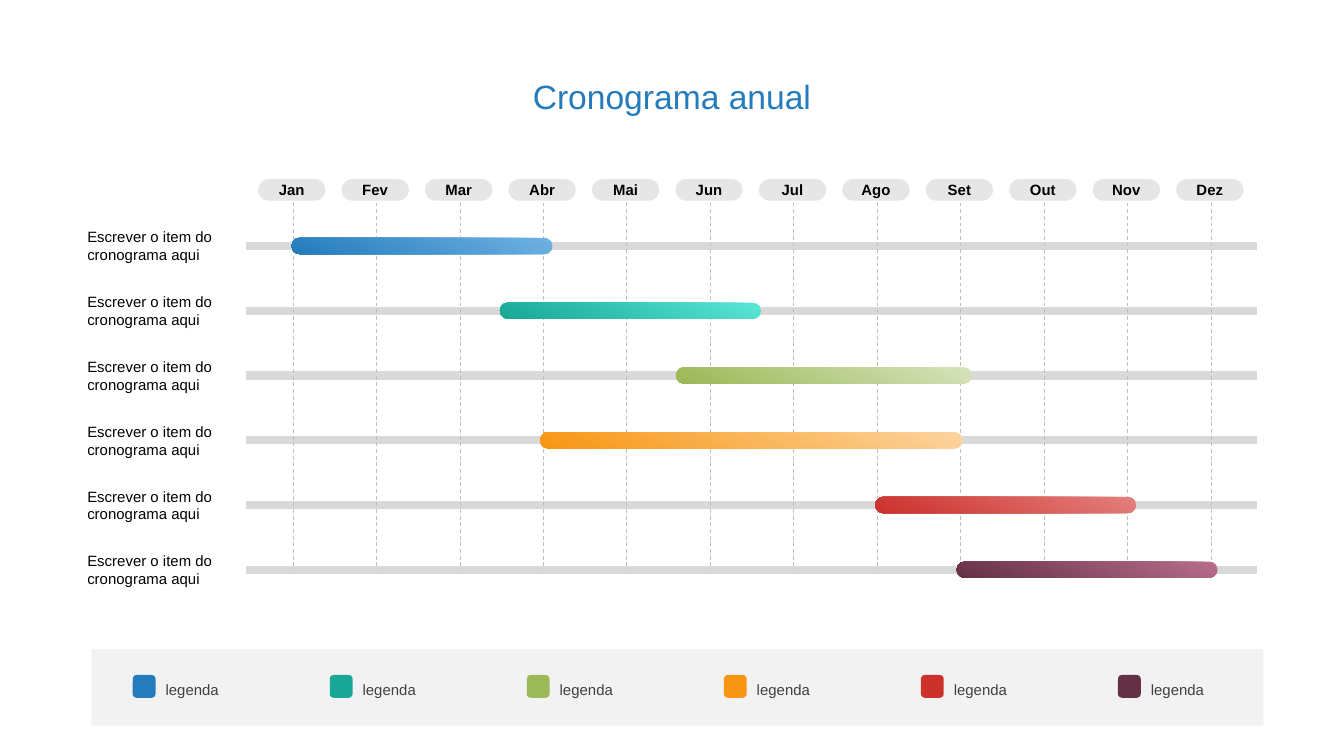
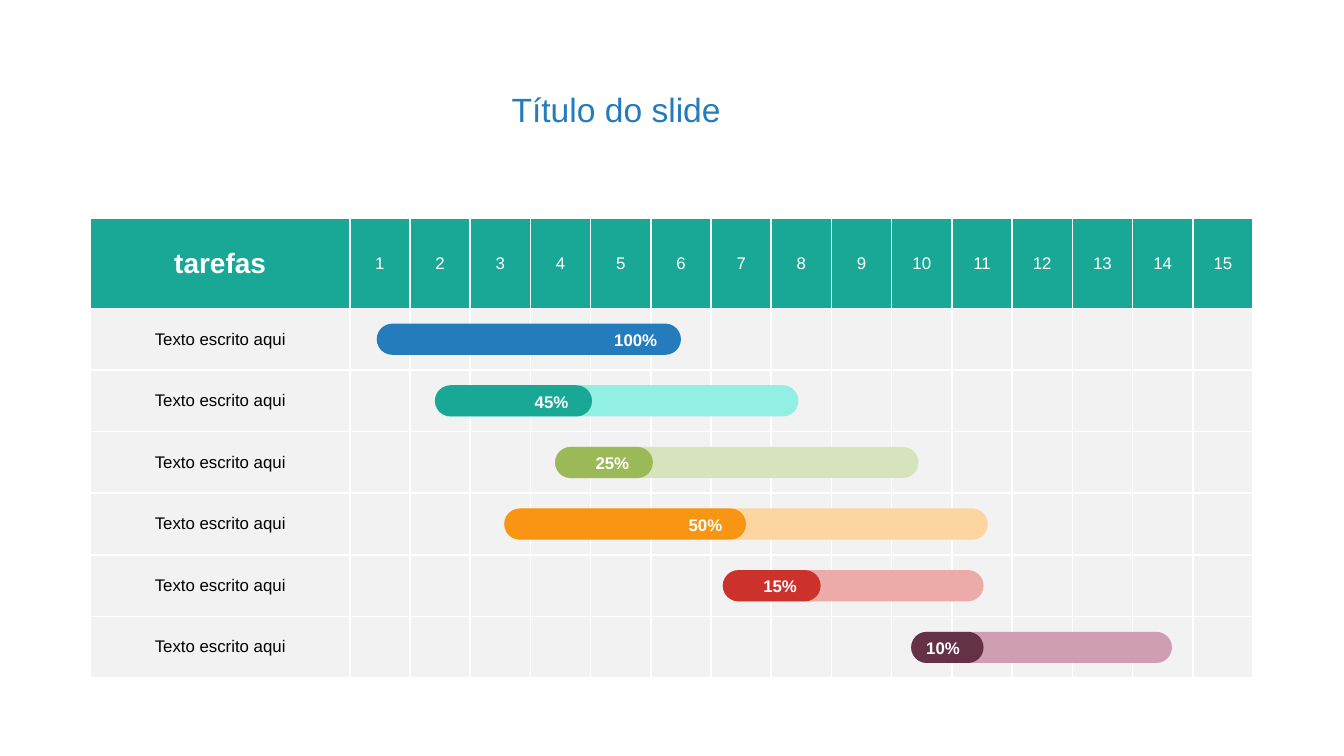
from dataclasses import dataclass

from lxml.etree import SubElement
from pptx import Presentation
from pptx.dml.color import RGBColor
from pptx.enum.dml import MSO_LINE
from pptx.enum.shapes import MSO_CONNECTOR, MSO_SHAPE
from pptx.enum.text import MSO_ANCHOR, PP_ALIGN
from pptx.oxml.ns import qn
from pptx.util import Cm, Pt


@dataclass(frozen=True)
class Theme:
    font: str = "Arial"
    title: str = "247CBC"
    text: str = "000000"
    legend: str = "404040"
    white: str = "FFFFFF"
    panel: str = "F2F2F2"
    pill: str = "E7E6E6"
    track: str = "D9D9D9"
    grid: str = "BFBFBF"
    header: str = "19A896"
    series: tuple = ("247CBC", "19A896", "9BB957", "F89613", "CC312C", "653147")
    title_size: float = 18
    header_size: float = 15
    table_size: float = 9
    small_size: float = 8


THEME = Theme()

MONTHS = ["Jan", "Fev", "Mar", "Abr", "Mai", "Jun",
          "Jul", "Ago", "Set", "Out", "Nov", "Dez"]
# label, bar start (cm), bar length (cm), light end of the gradient, legend
SCHEDULE = [
    ("Escrever o item do cronograma aqui", 5.51, 4.93, "6FB2E3", "legenda"),
    ("Escrever o item do cronograma aqui", 9.45, 4.93, "59E6D5", "legenda"),
    ("Escrever o item do cronograma aqui", 12.78, 5.59, "D7E3BC", "legenda"),
    ("Escrever o item do cronograma aqui", 10.21, 7.98, "FCD5A1", "legenda"),
    ("Escrever o item do cronograma aqui", 16.54, 4.93, "E3817E", "legenda"),
    ("Escrever o item do cronograma aqui", 18.08, 4.93, "B86E8D", "legenda"),
]

PERIODS = 15
# task, bar start (cm), whole length (cm), finished length (cm), light colour, progress
TASKS = [
    ("Texto escrito aqui", 7.12, 5.75, 5.75, None, "100%"),
    ("Texto escrito aqui", 8.22, 6.87, 2.97, "91EFE3", "45%"),
    ("Texto escrito aqui", 10.49, 6.87, 1.85, "D7E3BC", "25%"),
    ("Texto escrito aqui", 9.53, 9.14, 4.57, "FCD5A1", "50%"),
    ("Texto escrito aqui", 13.66, 4.93, 1.85, "ECABA9", "15%"),
    ("Texto escrito aqui", 17.22, 4.93, 1.37, "D09EB3", "10%"),
]


def rgb(color):
    return RGBColor.from_string(color)


def spread(first, last, count):
    """Return evenly spaced positions from first to last."""
    return [first + (last - first) * index / (count - 1) for index in range(count)]


def write(frame, text, size, color, align=PP_ALIGN.LEFT, bold=False):
    para = frame.paragraphs[0]
    para.text = text
    para.alignment = align
    para.font.name = THEME.font
    para.font.size = Pt(size)
    para.font.bold = bold
    para.font.color.rgb = rgb(color)


def add_box(page, left, top, width, height, color=None,
            kind=MSO_SHAPE.ROUNDED_RECTANGLE, rounding=None):
    box = page.shapes.add_shape(kind, Cm(left), Cm(top), Cm(width), Cm(height))
    box.shadow.inherit = False
    box.line.fill.background()
    if color:
        box.fill.solid()
        box.fill.fore_color.rgb = rgb(color)
    else:
        box.fill.background()
    if rounding is not None:
        box.adjustments[0] = rounding
    box.text_frame.vertical_anchor = MSO_ANCHOR.MIDDLE
    return box


def add_pill(page, left, middle, width, height, color=None):
    """Add a fully rounded box centred vertically on middle."""
    return add_box(page, left, middle - height / 2, width, height, color, rounding=0.5)


def add_text(page, left, top, width, height, text, size, color, wrap=False, **style):
    frame = page.shapes.add_textbox(Cm(left), Cm(top), Cm(width), Cm(height)).text_frame
    frame.word_wrap = wrap
    frame.vertical_anchor = MSO_ANCHOR.MIDDLE
    write(frame, text, size, color, **style)
    return frame


def add_title(page, left, top, width, height, text, align):
    add_text(page, left, top, width, height, text, THEME.title_size, THEME.title,
             wrap=True, align=align)


def add_line(page, start, end, color, width, dash=None):
    line = page.shapes.add_connector(MSO_CONNECTOR.STRAIGHT, *map(Cm, start + end))
    SubElement(line.element.spPr, qn("a:effectLst"))
    line.line.color.rgb = rgb(color)
    line.line.width = Pt(width)
    if dash:
        line.line.dash_style = dash


def shade(box, light, dark):
    box.fill.gradient()
    box.fill.gradient_angle = 244
    for stop, color, position in zip(box.fill.gradient_stops, (light, dark), (0, 0.99)):
        stop.color.rgb = rgb(color)
        stop.position = position


def build_year_schedule(page):
    row_middles = spread(4.65, 10.77, len(SCHEDULE))
    month_centers = spread(5.54, 22.89, len(MONTHS))
    swatch_lefts = spread(2.51, 21.13, len(SCHEDULE))

    for middle in row_middles:
        add_line(page, (4.65, middle), (23.75, middle), THEME.track, 4.5)
    for center in month_centers:
        add_line(page, (center, 3.45), (center, 10.77), THEME.grid, 0.5, MSO_LINE.DASH)
    add_title(page, 9.5, 1.3, 6.4, 1.02, "Cronograma anual", PP_ALIGN.CENTER)
    add_box(page, 1.73, 12.27, 22.15, 1.45, THEME.panel, MSO_SHAPE.RECTANGLE)

    for month, center in zip(MONTHS, month_centers):
        pill = add_pill(page, center - 0.66, 3.59, 1.27, 0.41, THEME.pill)
        frame = pill.text_frame
        frame.margin_left = frame.margin_right = frame.margin_top = frame.margin_bottom = 0
        write(frame, month, THEME.small_size, THEME.text, PP_ALIGN.CENTER, bold=True)

    rows = zip(SCHEDULE, row_middles, swatch_lefts, THEME.series)
    for (label, start, length, light, legend), middle, swatch_left, color in rows:
        label_box = add_pill(page, 1.27, middle, 3.78, 0.89)
        write(label_box.text_frame, label, THEME.small_size, THEME.text)
        shade(add_pill(page, start, middle, length, 0.31), light, color)
        add_box(page, swatch_left, 12.76, 0.43, 0.43, color)
        add_text(page, swatch_left + 0.37, 12.73, 1.52, 0.61, legend,
                 THEME.small_size, THEME.legend)


def style_cell(cell, fill):
    properties = cell._tc.get_or_add_tcPr()
    for side in ("a:lnL", "a:lnR", "a:lnT", "a:lnB"):
        border = SubElement(properties, qn(side), w=str(Pt(1)))
        SubElement(SubElement(border, qn("a:solidFill")), qn("a:srgbClr"), val=THEME.white)
    cell.fill.solid()
    cell.fill.fore_color.rgb = rgb(fill)
    cell.vertical_anchor = MSO_ANCHOR.MIDDLE
    cell.margin_left = cell.margin_right = Cm(0.18)
    cell.margin_top = cell.margin_bottom = Cm(0.1)


def build_task_table(page):
    left, top, width, height = 1.71, 4.13, 21.97, 8.69
    task_width, header_height = 4.9, 1.7
    row_height = (height - header_height) / len(TASKS)

    table = page.shapes.add_table(len(TASKS) + 1, PERIODS + 1, Cm(left), Cm(top),
                                  Cm(width), Cm(height)).table
    table.first_row = table.horz_banding = False
    for index, column in enumerate(table.columns):
        column.width = Cm((width - task_width) / PERIODS if index else task_width)
    for index, row in enumerate(table.rows):
        row.height = Cm(row_height if index else header_height)
        for cell in row.cells:
            style_cell(cell, THEME.panel if index else THEME.header)

    write(table.cell(0, 0).text_frame, "tarefas", THEME.header_size, THEME.white,
          PP_ALIGN.CENTER, bold=True)
    for period in range(1, PERIODS + 1):
        write(table.cell(0, period).text_frame, str(period), THEME.table_size,
              THEME.white, PP_ALIGN.CENTER)

    for index, (task, start, length, done, light, progress) in enumerate(TASKS):
        write(table.cell(index + 1, 0).text_frame, task, THEME.table_size,
              THEME.text, PP_ALIGN.CENTER)
        middle = top + header_height + (index + 0.5) * row_height
        if light:
            add_pill(page, start, middle, length, 0.59, light)
        add_pill(page, start, middle, done, 0.59, THEME.series[index])
        frame = add_text(page, start + done - 1.55, middle - 0.31, 1.35, 0.64, progress,
                         THEME.table_size, THEME.white, wrap=True,
                         align=PP_ALIGN.RIGHT, bold=True)
        frame.margin_left = 0

    add_title(page, 9.42, 1.57, 6.53, 0.97, "Título do slide", PP_ALIGN.LEFT)


def main():
    deck = Presentation()
    deck.slide_width, deck.slide_height = Cm(25.4), Cm(14.29)
    for build in (build_year_schedule, build_task_table):
        build(deck.slides.add_slide(deck.slide_layouts[6]))
    deck.save("out.pptx")


if __name__ == "__main__":
    main()
